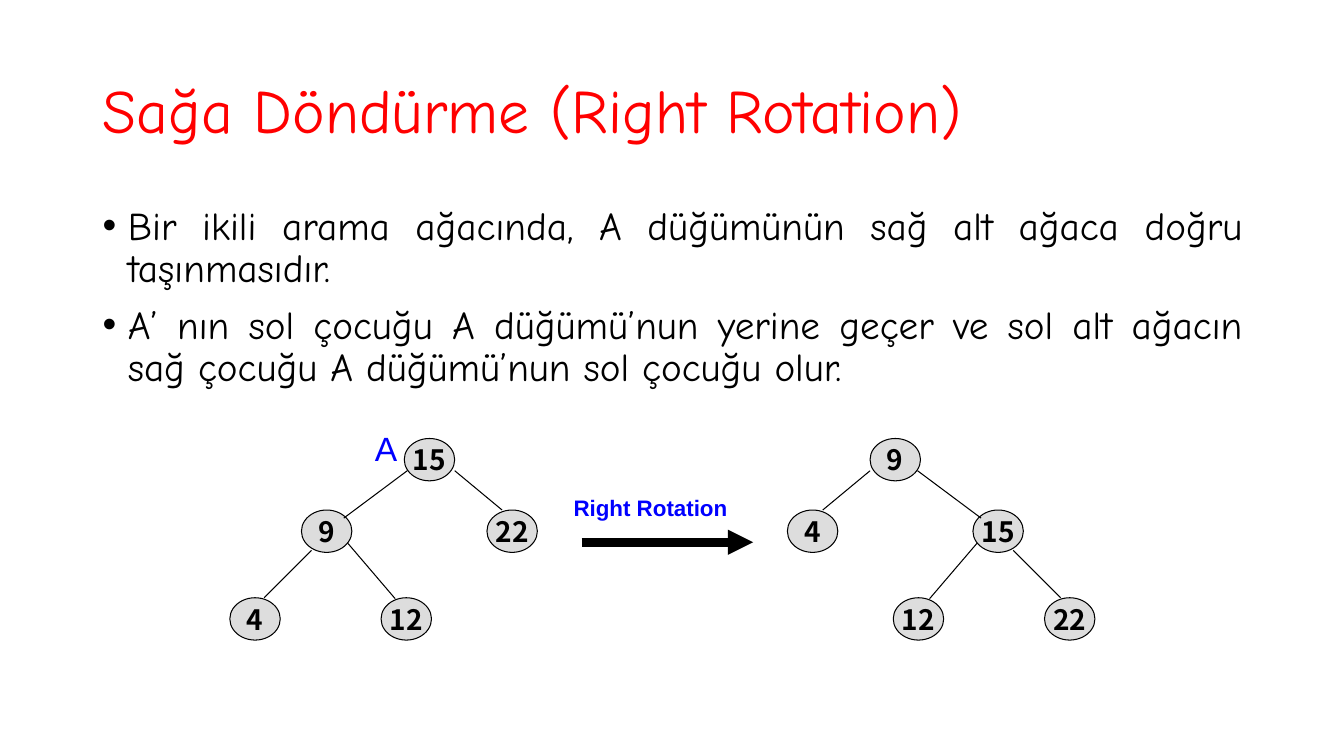
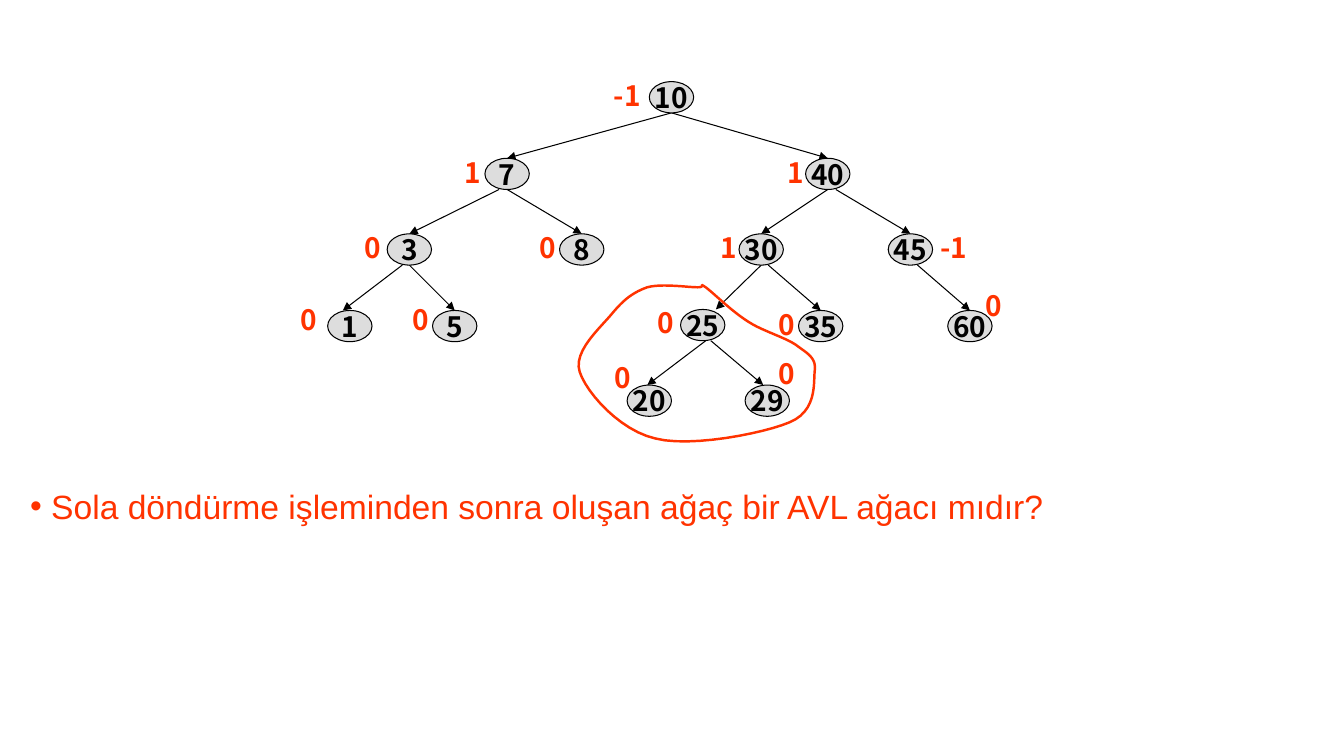
from lxml.etree import SubElement
from pptx import Presentation
from pptx.dml.color import RGBColor
from pptx.enum.shapes import MSO_CONNECTOR as Connector, MSO_SHAPE as Shape
from pptx.enum.text import MSO_ANCHOR as Anchor, MSO_AUTO_SIZE as AutoSize, PP_ALIGN as Align
from pptx.oxml.ns import qn
from pptx.util import Inches, Pt

BLACK, RED, BLUE, ORANGE, GREY = "000000", "FF0000", "0000FF", "FF3300", "DDDDDD"
TITLE_FONT, PLAIN_FONT, NODE_FONT = "Comic Neue", "Arial", "Noto Sans CJK KR"
TITLE_ONLY, BLANK = 5, 6

# Rotation tree: the "before" tree is the "after" tree reflected around MIRROR_X.
MIRROR_X = 6.57
ROTATION_NODE = (0.5, 0.42)
ROTATION_PLACES = [(8.63, 4.35), (7.81, 5.06), (9.65, 5.06), (8.86, 5.93), (10.36, 5.93)]
ROTATION_EDGES = [
    ((8.63, 4.67), (8.16, 5.06)),
    ((9.1, 4.67), (9.73, 5.14)),
    ((9.69, 5.39), (9.22, 5.94)),
    ((10.05, 5.46), (10.52, 5.93)),
]
AFTER_VALUES = ["9", "4", "15", "12", "22"]
BEFORE_VALUES = ["15", "22", "9", "12", "4"]

# AVL tree: value -> node left and top, balance factor, its left and top.
AVL_NODE = (0.44, 0.31)
AVL_NODES = {
    "10": (6.44, 0.81, "-1", 5.99, 0.73),
    "7": (4.81, 1.57, "1", 4.51, 1.49),
    "40": (7.99, 1.57, "1", 7.71, 1.49),
    "3": (3.84, 2.32, "0", 3.52, 2.24),
    "8": (5.55, 2.32, "0", 5.25, 2.24),
    "30": (7.33, 2.32, "1", 7.05, 2.24),
    "45": (8.81, 2.32, "-1", 9.23, 2.24),
    "1": (3.25, 3.08, "0", 2.88, 2.95),
    "5": (4.29, 3.08, "0", 3.99, 2.95),
    "25": (6.75, 3.07, "0", 6.42, 2.98),
    "35": (7.92, 3.08, "0", 7.62, 3),
    "60": (9.4, 3.08, "0", 9.68, 2.81),
    "20": (6.22, 3.82, "0", 6, 3.53),
    "29": (7.39, 3.82, "0", 7.62, 3.49),
}
# Parent, child, and how far each end stands from the middle of its node.
AVL_EDGES = [
    ("10", "7", 0, 0), ("10", "40", 0, 0),
    ("7", "3", -0.08, 0), ("7", "8", 0, 0),
    ("40", "30", 0, 0), ("40", "45", 0.08, 0),
    ("3", "1", -0.07, -0.07), ("3", "5", 0, 0),
    ("30", "25", 0, 0.13), ("30", "35", 0.07, 0),
    ("45", "60", 0.07, 0),
    ("25", "20", 0.03, -0.02), ("25", "29", 0.08, -0.04),
]
LOOP_START = (7, 2.85)
LOOP_CURVES = [
    ((6.92, 2.8), (7.01, 2.85), (6.92, 2.85)),
    ((6.82, 2.85), (6.56, 2.81), (6.42, 2.85)),
    ((6.28, 2.9), (6.19, 2.97), (6.08, 3.1)),
    ((5.97, 3.24), (5.68, 3.48), (5.75, 3.69)),
    ((5.82, 3.9), (6.15, 4.27), (6.5, 4.35)),
    ((6.85, 4.44), (7.57, 4.3), (7.83, 4.19)),
    ((8.1, 4.08), (8.07, 3.81), (8.08, 3.69)),
    ((8.1, 3.56), (8.03, 3.52), (7.92, 3.44)),
    ((7.81, 3.35), (7.57, 3.29), (7.42, 3.19)),
    ((7.26, 3.09), (7.08, 2.91), (7, 2.85)),
]


def color(hex_value):
    return RGBColor.from_string(hex_value)


def style_runs(text_frame, font, size, hex_value, bold=False):
    for paragraph in text_frame.paragraphs:
        for run in paragraph.runs:
            run.font.name = font
            run.font.size = Pt(size)
            run.font.bold = bold
            run.font.color.rgb = color(hex_value)


def style_line(line, hex_value, width):
    line.color.rgb = color(hex_value)
    line.width = Pt(width)


def add_bullet(paragraph, indent):
    """Give the paragraph a round bullet with a hanging indent in inches."""
    properties = paragraph._p.get_or_add_pPr()
    properties.set("marL", str(Inches(indent)))
    properties.set("indent", str(-Inches(indent)))
    SubElement(properties, qn("a:buFont")).set("typeface", "Arial")
    SubElement(properties, qn("a:buChar")).set("char", "•")


def add_title(slide, text):
    title = slide.shapes.title
    title.left, title.top = Inches(0.92), Inches(0.4)
    title.width, title.height = Inches(11.5), Inches(1.45)
    frame = title.text_frame
    frame.text = text
    frame.auto_size = AutoSize.NONE
    frame.vertical_anchor = Anchor.MIDDLE
    frame.paragraphs[0].alignment = Align.LEFT
    frame.paragraphs[0].line_spacing = 0.9
    style_runs(frame, TITLE_FONT, 44, RED)


def add_text(slide, text, box, font, size, hex_value, bold=False, wrap=True):
    shape = slide.shapes.add_textbox(*map(Inches, box))
    frame = shape.text_frame
    frame.word_wrap = wrap
    frame.text = text
    style_runs(frame, font, size, hex_value, bold)
    return frame


def add_node(slide, text, left, top, size):
    node = slide.shapes.add_shape(Shape.OVAL, *map(Inches, (left, top, *size)))
    node.shadow.inherit = False
    node.fill.solid()
    node.fill.fore_color.rgb = color(GREY)
    style_line(node.line, BLACK, 0.75)
    frame = node.text_frame
    frame.word_wrap = False
    frame.vertical_anchor = Anchor.MIDDLE
    frame.text = text
    frame.paragraphs[0].alignment = Align.CENTER
    style_runs(frame, NODE_FONT, 20, BLACK, bold=True)


def add_edge(slide, start, end, width=0.75, arrow=False):
    edge = slide.shapes.add_connector(Connector.STRAIGHT, *map(Inches, (*start, *end)))
    style_line(edge.line, BLACK, width)
    properties = edge._element.spPr
    if arrow:
        SubElement(properties.get_or_add_ln(), qn("a:tailEnd")).set("type", "triangle")
    SubElement(properties, qn("a:effectLst"))


def curve_points(start, curves, steps=12):
    """Return points along a chain of cubic Bézier curves."""
    points = []
    for first, second, end in curves:
        for step in range(1, steps + 1):
            t = step / steps
            u = 1 - t
            points.append(tuple(
                u**3 * a + 3 * u * u * t * b + 3 * u * t * t * c + t**3 * d
                for a, b, c, d in zip(start, first, second, end)
            ))
        start = end
    return points


def add_loop(slide, start, curves):
    builder = slide.shapes.build_freeform(*map(Inches, start))
    points = [(Inches(x), Inches(y)) for x, y in curve_points(start, curves)]
    builder.add_line_segments(points, close=True)
    loop = builder.convert_to_shape()
    loop.shadow.inherit = False
    loop.fill.background()
    style_line(loop.line, ORANGE, 1.75)


def add_rotation_tree(slide, values, mirrored=False):
    def across(x, width=0):
        return 2 * MIRROR_X - x - width if mirrored else x

    for value, (left, top) in zip(values, ROTATION_PLACES):
        add_node(slide, value, across(left, ROTATION_NODE[0]), top, ROTATION_NODE)
    for (x1, y1), (x2, y2) in ROTATION_EDGES:
        add_edge(slide, (across(x1), y1), (across(x2), y2))


def add_avl_tree(slide):
    width, height = AVL_NODE
    for parent, child, start_shift, end_shift in AVL_EDGES:
        x1, y1 = AVL_NODES[parent][:2]
        x2, y2 = AVL_NODES[child][:2]
        add_edge(slide, (x1 + width / 2 + start_shift, y1 + height),
                 (x2 + width / 2 + end_shift, y2), arrow=True)
    for value, (left, top, balance, label_left, label_top) in AVL_NODES.items():
        label_width = 0.36 if len(balance) == 1 else 0.53
        add_text(slide, balance, (label_left, label_top, label_width, 0.43),
                 NODE_FONT, 20, ORANGE, bold=True, wrap=False)
        add_node(slide, value, left, top, AVL_NODE)


def build_rotation_slide(presentation):
    slide = presentation.slides.add_slide(presentation.slide_layouts[TITLE_ONLY])
    add_title(slide, "Sağa Döndürme (Right Rotation)")
    body = add_text(
        slide,
        "Bir ikili arama ağacında, A düğümünün sağ alt ağaca doğru taşınmasıdır.\n"
        "A’ nın sol çocuğu A düğümü’nun yerine geçer ve sol alt ağacın "
        "sağ çocuğu A düğümü’nun sol çocuğu olur.",
        (0.92, 2, 11.5, 2.68), TITLE_FONT, 28, BLACK)
    for paragraph in body.paragraphs:
        paragraph.alignment = Align.JUSTIFY
        paragraph.line_spacing = 0.9
        paragraph.space_before = Pt(10)
        add_bullet(paragraph, 0.25)
    add_rotation_tree(slide, AFTER_VALUES)
    add_edge(slide, (5.77, 5.38), (7.47, 5.38), width=6, arrow=True)
    add_text(slide, "Right Rotation", (5.59, 4.85, 1.89, 0.37), PLAIN_FONT, 16, BLUE, bold=True)
    add_rotation_tree(slide, BEFORE_VALUES, mirrored=True)
    add_text(slide, "A", (3.62, 4.2, 0.47, 0.5), PLAIN_FONT, 24, BLUE)


def build_avl_slide(presentation):
    slide = presentation.slides.add_slide(presentation.slide_layouts[BLANK])
    add_avl_tree(slide)
    add_loop(slide, LOOP_START, LOOP_CURVES)
    question = add_text(
        slide, "Sola döndürme işleminden sonra oluşan ağaç bir AVL ağacı mıdır?",
        (0.2, 4.77, 11.61, 0.5), PLAIN_FONT, 24, ORANGE)
    add_bullet(question.paragraphs[0], 0.21)


def main():
    presentation = Presentation()
    presentation.slide_width = Inches(13.33)
    presentation.slide_height = Inches(7.5)
    build_rotation_slide(presentation)
    build_avl_slide(presentation)
    presentation.save("out.pptx")


if __name__ == "__main__":
    main()
